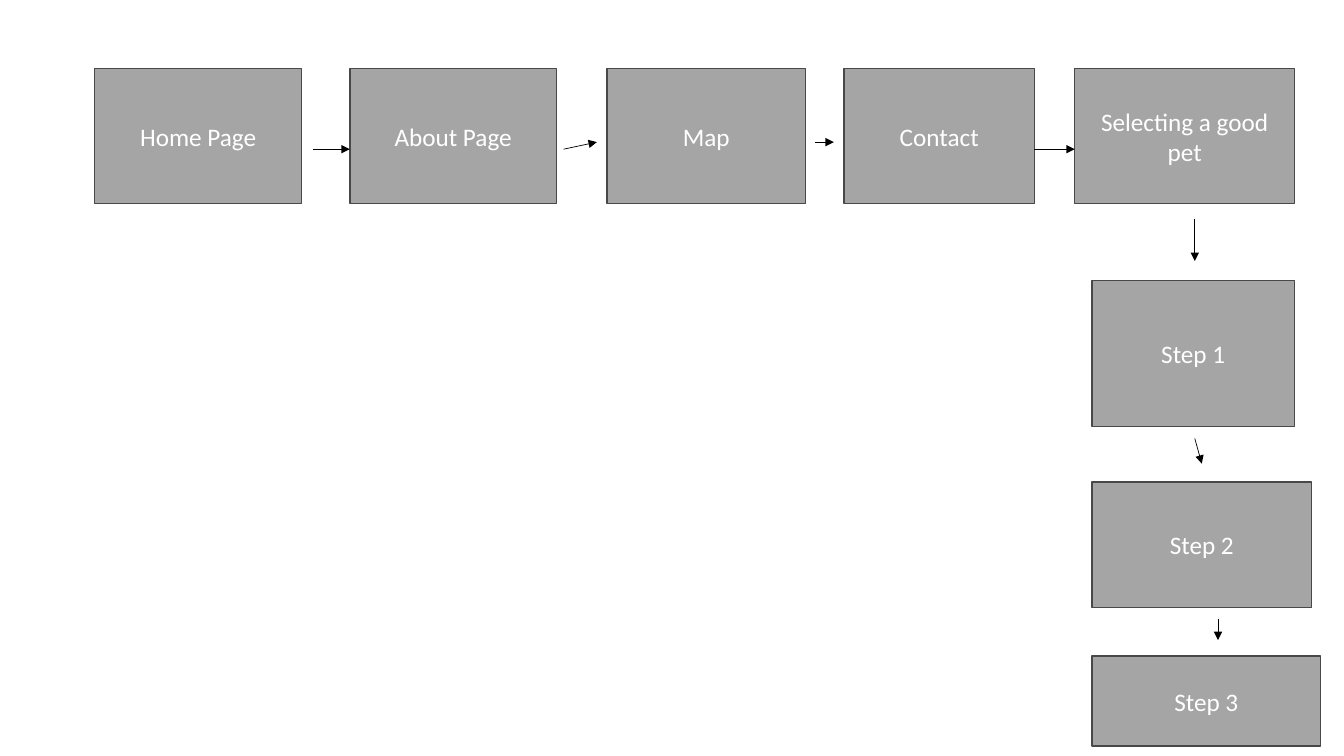
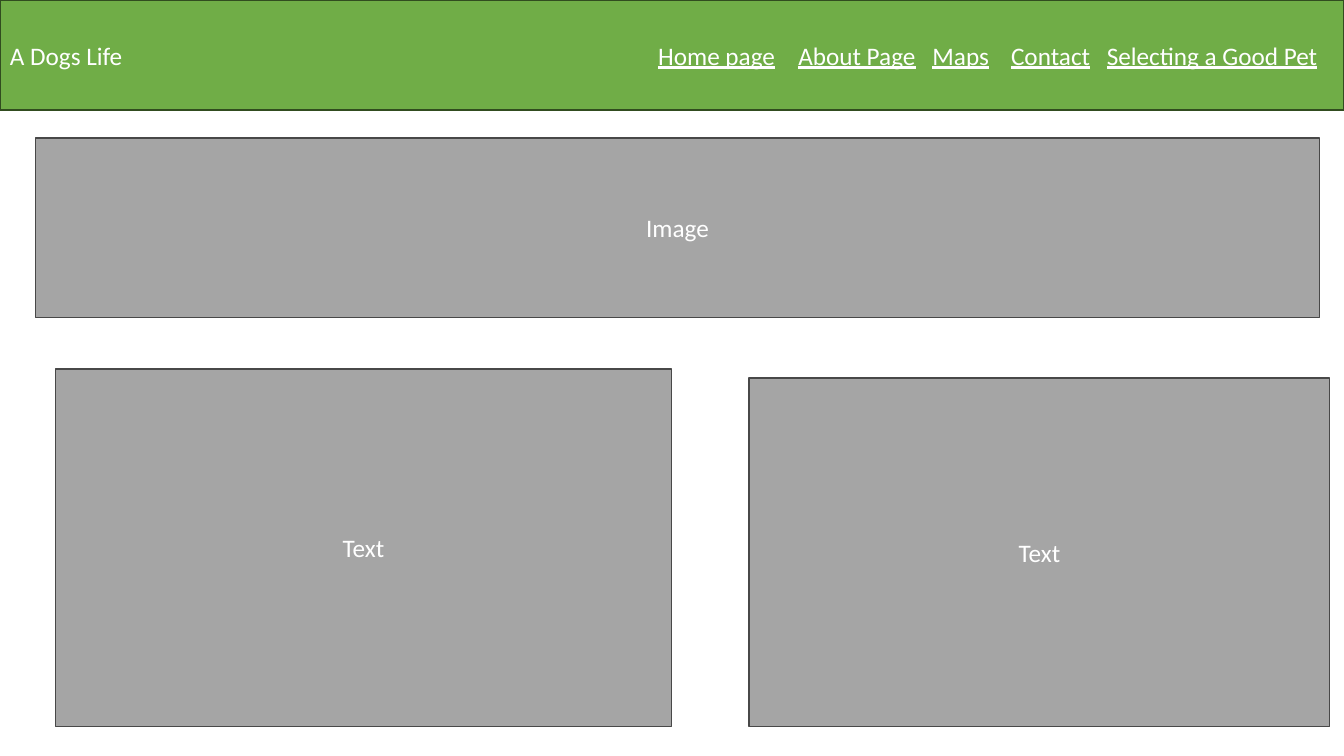
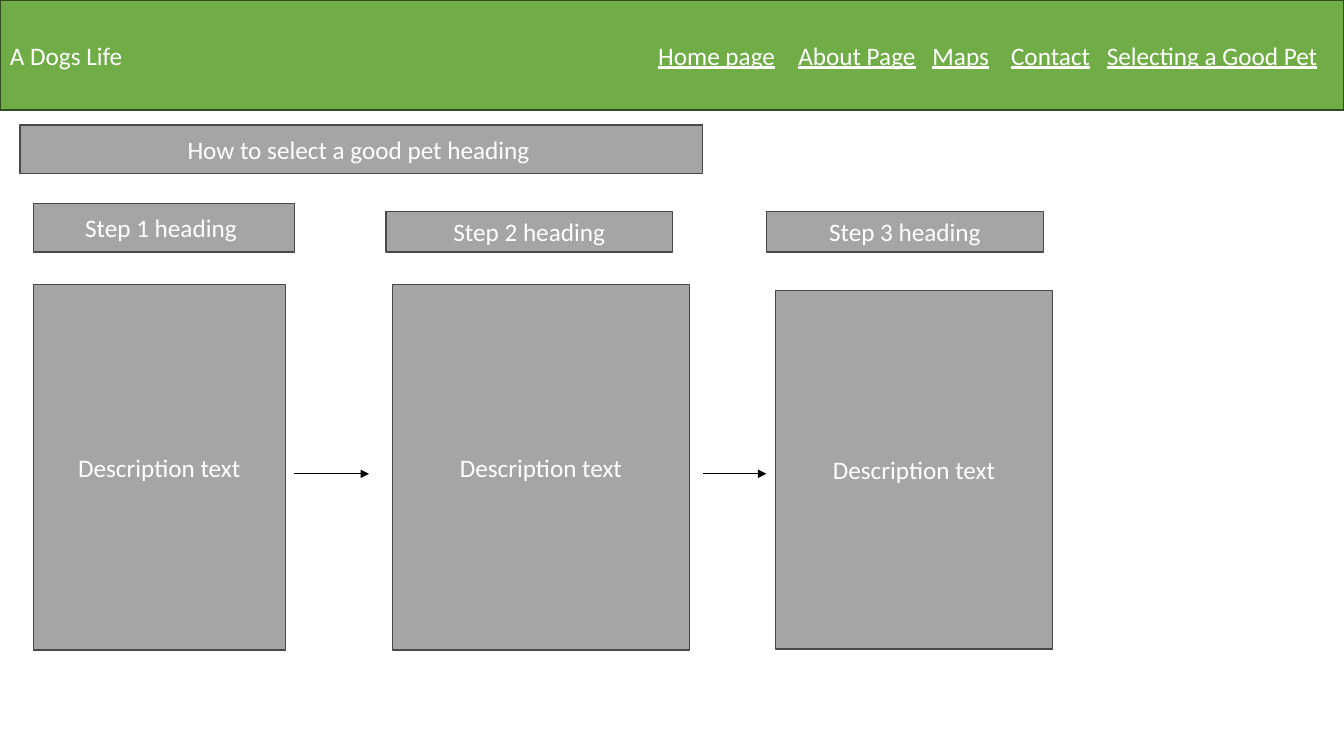
from pptx import Presentation
from pptx.dml.color import RGBColor
from pptx.enum.shapes import MSO_CONNECTOR, MSO_SHAPE
from pptx.enum.text import MSO_ANCHOR, PP_ALIGN
from pptx.oxml.ns import qn
from pptx.util import Inches, Pt
from lxml import etree

WHITE = RGBColor(0xFF, 0xFF, 0xFF)
BLACK = RGBColor(0x00, 0x00, 0x00)
GREY = RGBColor(0xA5, 0xA5, 0xA5)
DARK = RGBColor(0x48, 0x48, 0x48)
GREEN = RGBColor(0x70, 0xAD, 0x47)
MOSS = RGBColor(0x31, 0x4C, 0x1F)

RECT = MSO_SHAPE.RECTANGLE
STRAIGHT = MSO_CONNECTOR.STRAIGHT
MIDDLE = MSO_ANCHOR.MIDDLE
LEFT, CENTER = PP_ALIGN.LEFT, PP_ALIGN.CENTER

FONT = {"name": "Calibri", "size": Pt(18)}
WIDTH, HEIGHT = 13.33, 7.5

SITE = "A Dogs Life"
# Each menu link with its tab stop, in inches from the text edge.
MENU = [
    ("Home page", 6.43),
    ("About Page", 7.82),
    ("Maps", 9.15),
    ("Contact", 9.93),
    ("Selecting a Good Pet", 10.88),
]


def add_run(para, text, **extra):
    """Add white text in the deck's font, with any extra font values."""
    run = para.add_run()
    run.text = text
    for key, value in {**FONT, **extra}.items():
        setattr(run.font, key, value)
    run.font.color.rgb = WHITE


def add_rect(slide, place, fill, edge, align):
    """Draw an outlined rectangle and return its first paragraph."""
    rect = slide.shapes.add_shape(RECT, *map(Inches, place))
    rect.shadow.inherit = False
    rect.fill.solid()
    rect.fill.fore_color.rgb = fill
    rect.line.color.rgb = edge
    rect.line.width = Pt(1)
    rect.text_frame.vertical_anchor = MIDDLE
    para = rect.text_frame.paragraphs[0]
    para.alignment = align
    return para


def add_box(slide, text, *place):
    """Draw a grey box with a centred label."""
    add_run(add_rect(slide, place, GREY, DARK, CENTER), text)


def add_arrow(slide, *ends):
    """Draw a thin black arrow from one point to another."""
    arrow = slide.shapes.add_connector(STRAIGHT, *map(Inches, ends))
    arrow.line.color.rgb = BLACK
    arrow.line.width = Pt(0.5)
    props = arrow.element.spPr
    etree.SubElement(props.find(qn("a:ln")), qn("a:tailEnd"), type="triangle")
    etree.SubElement(props, qn("a:effectLst"))


def add_menu(slide):
    """Draw the green band with the site name and underlined links."""
    para = add_rect(slide, (0, 0, WIDTH, 1.09), GREEN, MOSS, LEFT)
    stops = etree.SubElement(para._p.get_or_add_pPr(), qn("a:tabLst"))
    add_run(para, SITE)
    for link, stop in MENU:
        etree.SubElement(stops, qn("a:tab"), pos=str(Inches(stop)), algn="l")
        add_run(para, "\t")
        add_run(para, link, underline=True)


def add_map(slide):
    """Fill the site map: a row of pages, then a column of steps."""
    pages = [
        ("Home Page", 0.94, 2.05),
        ("About Page", 3.47, 2.05),
        ("Map", 6.02, 1.97),
        ("Contact", 8.37, 1.89),
        ("Selecting a good pet", 10.66, 2.18),
    ]
    for name, left, width in pages:
        add_box(slide, name, left, 0.68, width, 1.34)

    steps = [(2.78, 2.01, 1.45), (4.78, 2.18, 1.25), (6.51, 2.27, 0.89)]
    for num, (top, width, height) in enumerate(steps, 1):
        add_box(slide, f"Step {num}", 10.83, top, width, height)

    arrows = [
        (3.1, 1.48, 3.47, 1.48),
        (5.59, 1.48, 5.92, 1.41),
        (8.08, 1.41, 8.27, 1.41),
        (10.26, 1.48, 10.66, 1.48),
        (11.85, 2.17, 11.85, 2.59),
        (11.85, 4.35, 11.92, 4.6),
        (12.08, 6.14, 12.08, 6.35),
    ]
    for ends in arrows:
        add_arrow(slide, *ends)


def add_home(slide):
    """Fill the page layout with an image and two text areas."""
    add_menu(slide)
    add_box(slide, "Image", 0.35, 1.37, 12.74, 1.78)
    add_box(slide, "Text", 0.55, 3.66, 6.11, 3.55)
    add_box(slide, "Text", 7.43, 3.75, 5.76, 3.46)


def add_guide(slide):
    """Fill the guide layout with three headed steps."""
    add_menu(slide)
    add_box(slide, "How to select a good pet heading ", 0.2, 1.24, 6.77, 0.48)
    steps = [
        ("Step 1 heading ", (0.33, 2.02, 2.59, 0.48), (0.33, 2.82, 2.5, 3.63)),
        ("Step 2 heading", (3.83, 2.1, 2.84, 0.4), (3.89, 2.82, 2.95, 3.63)),
        ("Step 3 heading", (7.6, 2.1, 2.75, 0.4), (7.69, 2.88, 2.75, 3.56)),
    ]
    for title, head, body in steps:
        add_box(slide, title, *head)
        add_box(slide, "Description text", *body)
    for start, end in [(2.92, 3.66), (6.97, 7.6)]:
        add_arrow(slide, start, 4.7, end, 4.7)


def main():
    """Build the three slides and save the deck."""
    deck = Presentation()
    deck.slide_width = Inches(WIDTH)
    deck.slide_height = Inches(HEIGHT)
    blank = deck.slide_layouts[6]
    for fill in (add_map, add_home, add_guide):
        fill(deck.slides.add_slide(blank))
    deck.save("out.pptx")


main()
